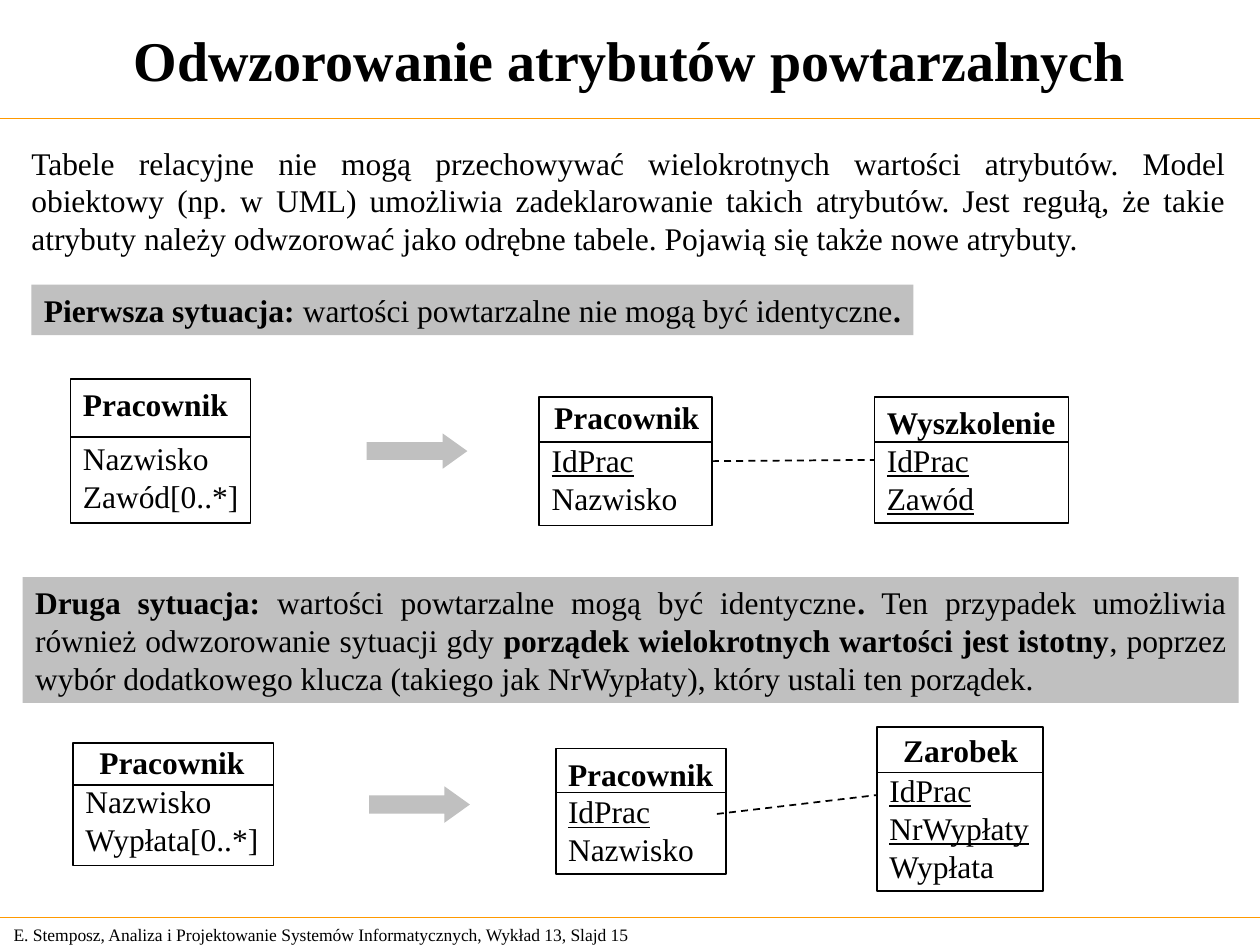
from lxml import etree
from pptx import Presentation
from pptx import util as u
from pptx.dml.color import RGBColor
from pptx.enum import dml, shapes, text
from pptx.oxml.ns import qn

BLACK = RGBColor(0x00, 0x00, 0x00)
GREY = RGBColor(0xC0, 0xC0, 0xC0)
ORANGE = RGBColor(0xFF, 0x99, 0x00)

PLAIN, BOLD, UNDERLINE = "plain", "bold", "underline"
LEFT, CENTER, JUSTIFY = text.PP_ALIGN.LEFT, text.PP_ALIGN.CENTER, text.PP_ALIGN.JUSTIFY


class SlideBuilder:
    font = "Times New Roman"
    size = 18

    def __init__(self, page):
        self.page = page

    def add_text(self, box, paragraphs, size=size, align=LEFT, wrap=False,
                 anchor=text.MSO_ANCHOR.TOP, top=0.05):
        """Fill a box; each paragraph is a list of (wording, style) runs."""
        frame = box.text_frame
        frame.word_wrap = wrap
        frame.vertical_anchor = anchor
        frame.margin_top = u.Inches(top)
        for index, runs in enumerate(paragraphs):
            para = frame.paragraphs[0] if index == 0 else frame.add_paragraph()
            para.alignment = align
            for wording, style in runs:
                span = para.add_run()
                span.text = wording
                span.font.name = self.font
                span.font.size = u.Pt(size)
                span.font.color.rgb = BLACK
                span.font.bold = style == BOLD
                span.font.underline = style == UNDERLINE
        return box

    def label(self, at, paragraphs, **layout):
        box = self.page.shapes.add_textbox(*map(u.Inches, at))
        return self.add_text(box, paragraphs, **layout)

    def shape(self, at, kind=shapes.MSO_SHAPE.RECTANGLE, fill=None):
        box = self.page.shapes.add_shape(kind, *map(u.Inches, at))
        box.shadow.inherit = False
        if fill is None:
            box.fill.background()
            box.line.color.rgb = BLACK
            box.line.width = u.Pt(1)
        else:
            box.fill.solid()
            box.fill.fore_color.rgb = fill
            box.line.fill.background()
        return box

    def banner(self, at, runs, **layout):
        return self.add_text(self.shape(at, fill=GREY), [runs], **layout)

    def arrow(self, at):
        arrow = self.shape(at, shapes.MSO_SHAPE.RIGHT_ARROW, GREY)
        arrow.adjustments[1] = 0.7

    def line(self, start, end, color=BLACK, width=1, dashed=False):
        line = self.page.shapes.add_connector(
            shapes.MSO_CONNECTOR.STRAIGHT, *map(u.Inches, start + end))
        line.line.color.rgb = color
        line.line.width = u.Pt(width)
        if dashed:
            line.line.dash_style = dml.MSO_LINE.DASH
        etree.SubElement(line._element.spPr, qn("a:effectLst"))
        return line

    def entity(self, at, divider, rows, top=0.05, gap=0):
        """Framed class box; gap is the space in points above its second row."""
        box = self.add_text(self.shape(at), [[row] for row in rows], top=top)
        if gap:
            box.text_frame.paragraphs[1].space_before = u.Pt(gap)
        left, _, width, _ = at
        self.line((left, divider), (left + width, divider))
        return box


def main():
    deck = Presentation()
    deck.slide_width, deck.slide_height = u.Inches(10), u.Inches(7.5)
    builder = SlideBuilder(deck.slides.add_slide(deck.slide_layouts[6]))
    middle = text.MSO_ANCHOR.MIDDLE
    employee = ("Pracownik", BOLD)
    key = ("IdPrac", UNDERLINE)
    surname = ("Nazwisko", PLAIN)

    # Footer, rules and title
    builder.label((0.01, 7.28, 5.24, 0.27), [[(
        "E. Stemposz, Analiza i Projektowanie Systemów Informatycznych, "
        "Wykład 13, Slajd 15", PLAIN)]], size=10, anchor=middle)
    for y in (0.94, 7.28):
        builder.line((0, y), (10, y), ORANGE, 0.75)
    builder.label((0, 0.01, 10, 0.92),
                  [[("Odwzorowanie atrybutów powtarzalnych", BOLD)]],
                  size=32, align=CENTER, wrap=True, anchor=middle)

    # Introduction
    builder.label((0.15, 1.09, 9.68, 1), [[(
        "Tabele relacyjne nie mogą przechowywać wielokrotnych wartości atrybutów. "
        "Model obiektowy (np. w UML) umożliwia zadeklarowanie takich atrybutów. "
        "Jest regułą, że takie atrybuty należy odwzorować jako odrębne tabele. "
        "Pojawią się także nowe atrybuty.", PLAIN)]], align=JUSTIFY, wrap=True)

    # First situation: values are distinct
    builder.banner((0.25, 2.26, 7, 0.4), [
        ("Pierwsza sytuacja: ", BOLD),
        ("wartości powtarzalne nie mogą być identyczne", PLAIN),
        (".", BOLD)])
    builder.entity((0.56, 3.01, 1.43, 1.14), 3.47,
                   [employee, surname, ("Zawód[0..*]", PLAIN)], gap=9.2)
    builder.arrow((2.91, 3.44, 0.8, 0.28))
    worker = builder.entity((4.28, 3.15, 1.37, 1.02), 3.51, [key, surname], top=0.35)
    builder.label((4.3, 3.11, 1.35, 0.4), [[employee]])
    training = builder.entity((6.94, 3.15, 1.54, 1), 3.51,
                              [("Wyszkolenie", BOLD), key, ("Zawód", UNDERLINE)])
    link = builder.line((5.65, 3.66), (6.94, 3.65), dashed=True)
    link.begin_connect(worker, 3)
    link.end_connect(training, 1)

    # Second situation: values may repeat
    builder.banner((0.18, 4.58, 9.65, 1), [
        ("Druga sytuacja: ", BOLD),
        ("wartości powtarzalne mogą być identyczne", PLAIN),
        (".", BOLD),
        (" Ten przypadek umożliwia również odwzorowanie sytuacji gdy ", PLAIN),
        ("porządek wielokrotnych wartości jest istotny", BOLD),
        (", poprzez wybór dodatkowego klucza (takiego jak NrWypłaty), "
         "który ustali ten porządek.", PLAIN)], align=JUSTIFY, wrap=True)
    builder.entity((0.58, 5.9, 1.59, 0.97), 6.23,
                   [surname, ("Wypłata[0..*]", PLAIN)], top=0.31)
    builder.label((0.69, 5.85, 1.35, 0.4), [[employee]])
    builder.arrow((2.93, 6.24, 0.8, 0.29))
    builder.entity((4.41, 5.94, 1.35, 1), 6.29, [employee, key, surname])
    builder.entity((6.96, 5.77, 1.32, 1.3), 6.13,
                   [key, ("NrWypłaty", UNDERLINE), ("Wypłata", PLAIN)], top=0.35)
    builder.label((7.07, 5.75, 1.11, 0.4), [[("Zarobek", BOLD)]])
    builder.line((5.69, 6.46), (6.96, 6.31), dashed=True)

    deck.save("out.pptx")


if __name__ == "__main__":
    main()
